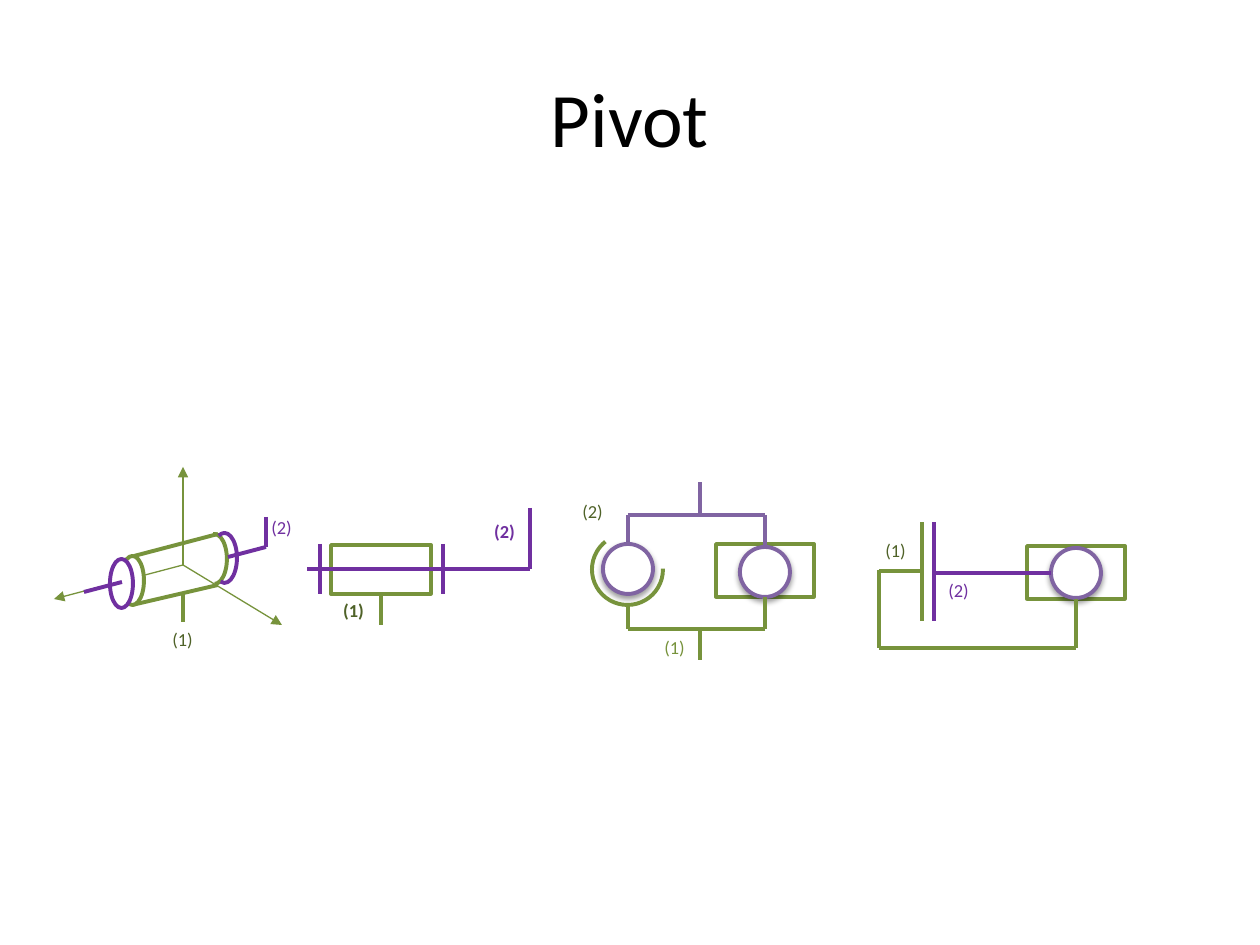
import pptx
import pptx.util
import pptx.dml.color
import pptx.enum.shapes
import pptx.enum.text
import pptx.oxml
import pptx.oxml.ns

PX = 914400 / 126
GREEN, DARK_GREEN = "77933C", "4F6228"
PURPLE, LILAC = "7030A0", "8064A2"
WHITE, BLACK = "FFFFFF", "000000"
KIND = pptx.enum.shapes.MSO_SHAPE
BOTTOM = 2


def px(*lengths):
    return [pptx.util.Emu(round(length * PX)) for length in lengths]


def color(code):
    return pptx.dml.color.RGBColor.from_string(code)


def add_xml(parent, xml):
    namespace = pptx.oxml.ns.nsdecls("a")
    parent.append(pptx.oxml.parse_xml(xml.replace(">", f" {namespace}>", 1)))


def add_line(shapes, start, end, ink, width=2.25, arrow=False, end_on=None):
    """Draw a straight line; end_on is a rectangle met at its bottom middle."""
    line = shapes.add_connector(
        pptx.enum.shapes.MSO_CONNECTOR.STRAIGHT, *px(*start, *end))
    if end_on is not None:
        line.end_connect(end_on, BOTTOM)
    line.line.color.rgb = color(ink)
    line.line.width = pptx.util.Pt(width)
    if arrow:
        add_xml(line.line._get_or_add_ln(), '<a:tailEnd type="triangle"></a:tailEnd>')
    add_xml(line._element.spPr, "<a:effectLst></a:effectLst>")


def add_outline(shapes, kind, box, ink, width=2.25):
    """Draw a white preset shape with a coloured outline."""
    outline = shapes.add_shape(kind, *px(*box))
    outline.shadow.inherit = False
    outline.fill.solid()
    outline.fill.fore_color.rgb = color(WHITE)
    outline.line.color.rgb = color(ink)
    outline.line.width = pptx.util.Pt(width)
    return outline


def add_arc(shapes, box, start_degrees, end_degrees, ink):
    arc = add_outline(shapes, KIND.ARC, box, ink)
    arc.fill.background()
    # Arc angles count 60000 per degree; adjustments count 100000 per unit
    arc.adjustments[0] = start_degrees * 0.6
    arc.adjustments[1] = end_degrees * 0.6


def add_ball(shapes, left, top):
    """Draw a round ball with a soft shadow below it."""
    ball = add_outline(shapes, KIND.OVAL, (left, top, 50, 50), LILAC)
    effects = ball._element.spPr.find(pptx.oxml.ns.qn("a:effectLst"))
    add_xml(effects, '<a:outerShdw blurRad="40000" dist="20000" dir="5400000" '
                     'rotWithShape="0"><a:srgbClr val="000000">'
                     '<a:alpha val="38000"/></a:srgbClr></a:outerShdw>')


def add_text(shapes, text, box, ink, size, bold=False):
    frame = shapes.add_textbox(*px(*box)).text_frame
    frame.text = text
    paragraph = frame.paragraphs[0]
    paragraph.alignment = pptx.enum.text.PP_ALIGN.CENTER
    paragraph.font.name = "Calibri"
    paragraph.font.size = pptx.util.Pt(size)
    paragraph.font.bold = bold
    paragraph.font.color.rgb = color(ink)
    return frame


def add_label(shapes, text, left, top, ink, bold=False):
    frame = add_text(shapes, text, (left, top, 49, 37), ink, 10.5, bold)
    frame.word_wrap = False
    frame.auto_size = pptx.enum.text.MSO_AUTO_SIZE.SHAPE_TO_FIT_TEXT


def add_title(shapes):
    frame = add_text(shapes, "Pivot", (63, 38, 1134, 157), BLACK, 44)
    frame.word_wrap = True
    frame.vertical_anchor = pptx.enum.text.MSO_ANCHOR.MIDDLE


def add_perspective_pivot(shapes):
    # Axes
    for tip in ((54, 599), (183, 467), (282, 625)):
        add_line(shapes, (183, 565), tip, GREEN, 0.75, arrow=True)
    add_label(shapes, "(2)", 257, 510, PURPLE)
    add_label(shapes, "(1)", 158, 622, DARK_GREEN)
    # Sleeve
    add_line(shapes, (218, 534), (134, 556), GREEN)
    add_line(shapes, (183, 622), (183, 592), GREEN)
    add_line(shapes, (218, 585), (132, 605), GREEN)
    add_outline(shapes, KIND.OVAL, (121, 556, 23, 49), GREEN)
    add_arc(shapes, (202, 534, 25, 50), 267.26, 88.87, GREEN)
    # Shaft with its end stops
    add_line(shapes, (266, 547), (228, 557), PURPLE)
    add_line(shapes, (266, 517), (266, 547), PURPLE)
    add_outline(shapes, KIND.OVAL, (110, 559, 23, 49), PURPLE)
    add_line(shapes, (122, 582), (84, 592), PURPLE)
    add_arc(shapes, (212, 533, 25, 50), 255.62, 99.34, PURPLE)


def add_plane_pivot(shapes):
    group = shapes.add_group_shape().shapes
    sleeve = add_outline(group, KIND.RECTANGLE, (331, 545, 100, 49), GREEN, 2)
    add_line(group, (381, 625), (381, 594), GREEN, end_on=sleeve)
    add_label(group, "(1)", 329, 593, DARK_GREEN, bold=True)
    add_label(group, "(2)", 480, 514, PURPLE, bold=True)
    # Shaft and its two end stops
    add_line(group, (530, 508), (530, 569), PURPLE)
    add_line(group, (530, 569), (307, 569), PURPLE)
    for stop_x in (320, 443):
        add_line(group, (stop_x, 544), (stop_x, 594), PURPLE)


def add_two_ball_pivot(shapes):
    left_x, middle_x, right_x = 628, 700, 765
    upper_y, lower_y = 515, 629
    # Ball in its socket
    add_line(shapes, (left_x, lower_y), (left_x, 606), GREEN)
    add_line(shapes, (left_x, 569), (left_x, upper_y), LILAC)
    add_ball(shapes, 603, 544)
    add_arc(shapes, (592, 534, 71, 71), 358.57, 231.56, GREEN)
    # Ball in its sleeve
    sleeve = add_outline(shapes, KIND.RECTANGLE, (716, 544, 98, 53), GREEN, 2)
    add_ball(shapes, 740, 547)
    add_line(shapes, (right_x, 547), (right_x, upper_y), LILAC)
    add_line(shapes, (right_x, lower_y), (right_x, 597), GREEN, end_on=sleeve)
    # Frames that join both sides
    add_line(shapes, (right_x, lower_y), (left_x, lower_y), GREEN)
    add_line(shapes, (left_x, upper_y), (right_x, upper_y), LILAC)
    add_line(shapes, (middle_x, 660), (middle_x, lower_y), GREEN)
    add_line(shapes, (middle_x, upper_y), (middle_x, 482), LILAC)
    add_label(shapes, "(1)", 650, 630, GREEN)
    add_label(shapes, "(2)", 568, 494, DARK_GREEN)


def add_plate_and_ball_pivot(shapes):
    frame_x, ball_x, frame_y = 879, 1076, 648
    add_label(shapes, "(2)", 934, 573, PURPLE)
    add_label(shapes, "(1)", 871, 533, DARK_GREEN)
    # Ball in its sleeve
    sleeve = add_outline(shapes, KIND.RECTANGLE, (1027, 546, 98, 53), GREEN, 2)
    add_ball(shapes, 1051, 548)
    # Lower frame
    add_line(shapes, (ball_x, frame_y), (ball_x, 599), GREEN, end_on=sleeve)
    add_line(shapes, (frame_x, frame_y), (frame_x, 570), GREEN)
    add_line(shapes, (frame_x, frame_y), (ball_x, frame_y), GREEN)
    # Plates and their arms
    plates = shapes.add_group_shape().shapes
    for plate_x, ink in ((922, GREEN), (934, PURPLE)):
        add_line(plates, (plate_x, 621), (plate_x, 522), ink)
    add_line(plates, (frame_x, 571), (920, 571), GREEN)
    add_line(plates, (935, 573), (1051, 573), PURPLE)


def main():
    deck = pptx.Presentation()
    deck.slide_width, deck.slide_height = px(1260, 945)
    shapes = deck.slides.add_slide(deck.slide_layouts[6]).shapes
    add_title(shapes)
    add_perspective_pivot(shapes)
    add_plane_pivot(shapes)
    add_two_ball_pivot(shapes)
    add_plate_and_ball_pivot(shapes)
    deck.save("out.pptx")


if __name__ == "__main__":
    main()
